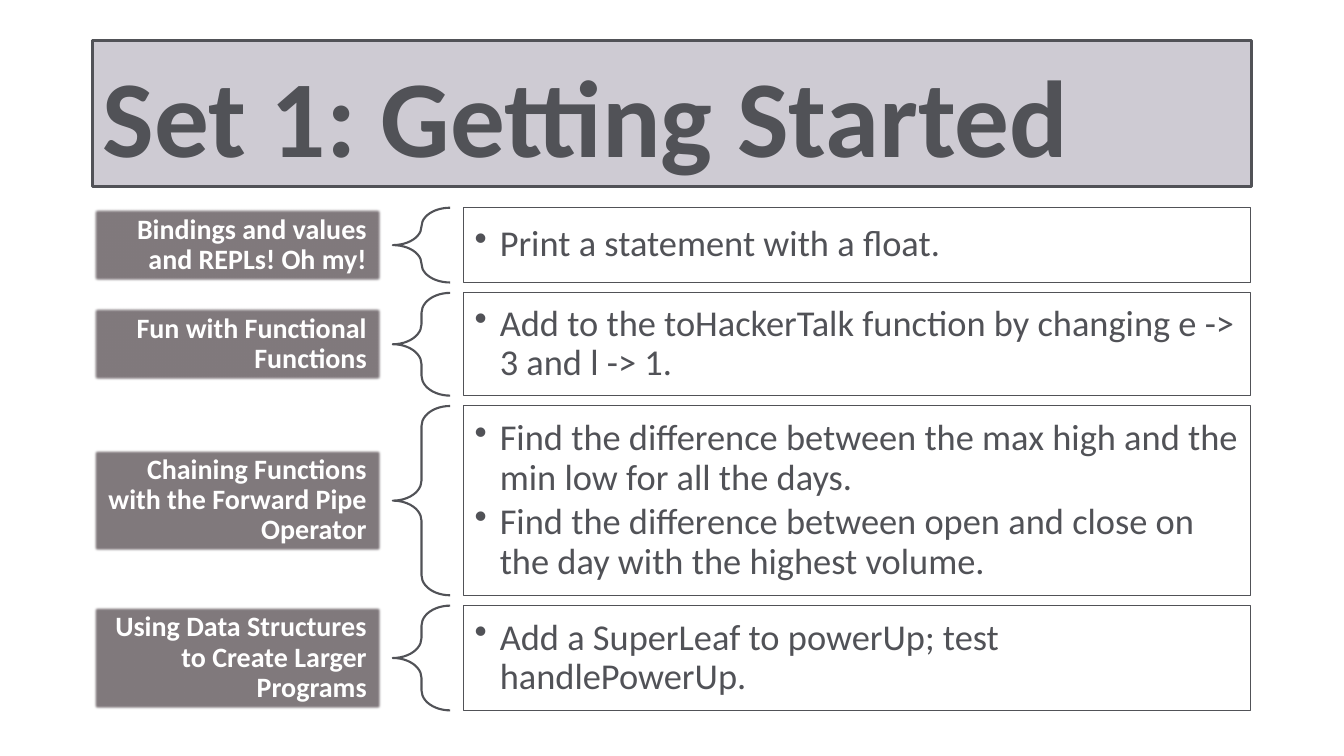
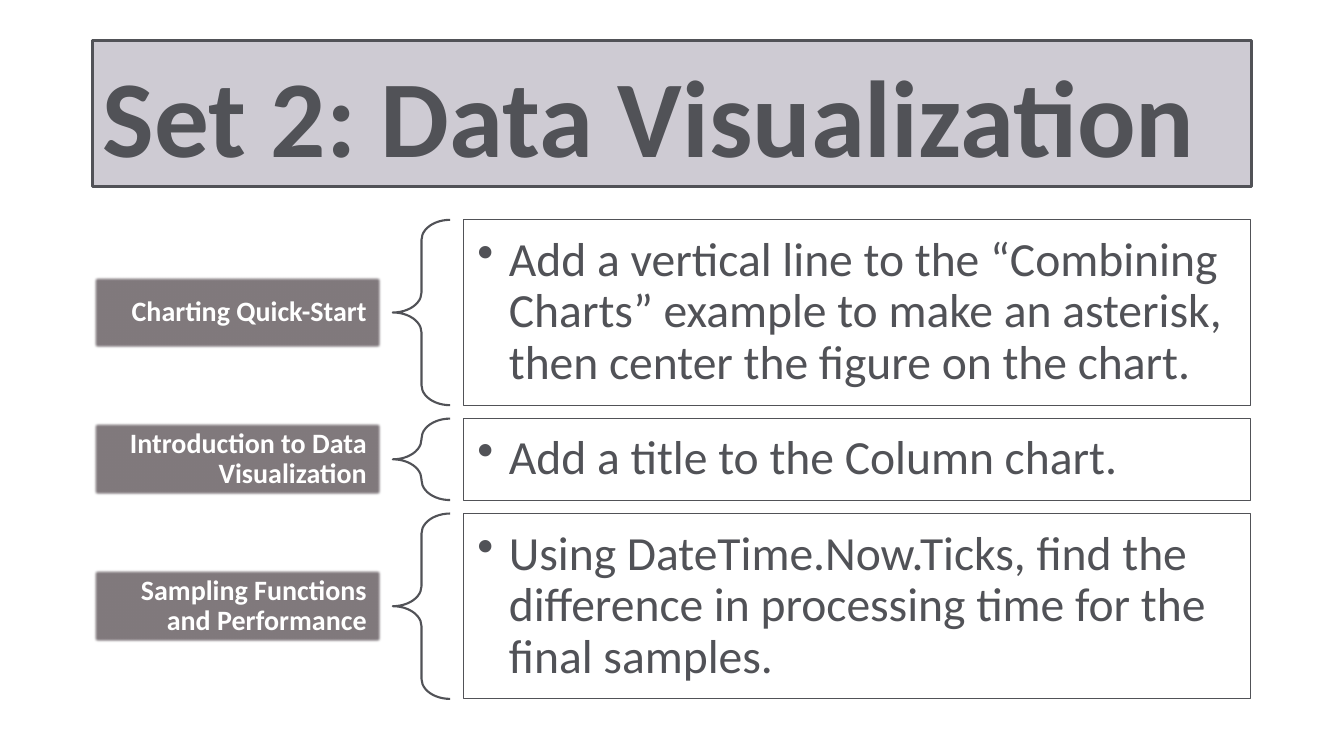
from dataclasses import dataclass

import lxml.etree
import pptx
import pptx.dml.color
import pptx.enum.shapes
import pptx.enum.text
import pptx.oxml
import pptx.oxml.ns
import pptx.util

Pt = pptx.util.Pt
qn = pptx.oxml.ns.qn
Shape = pptx.enum.shapes.MSO_SHAPE
Align = pptx.enum.text.PP_ALIGN


@dataclass(frozen=True)
class Theme:
    font: str = "Calibri"
    ink: str = "515257"
    band: str = "B5B0BC"
    label: str = "7B7477"
    paper: str = "FFFFFF"
    title_size: float = 78
    label_size: float = 20
    left: float = 66.2
    label_width: float = 207
    brace_left: float = 280.6
    brace_width: float = 41
    task_left: float = 331
    task_width: float = 562.6


@dataclass(frozen=True)
class Topic:
    label: str
    label_height: float
    height: float
    tasks: tuple


@dataclass(frozen=True)
class ProblemSet:
    title: str
    top: float
    gap: float
    task_size: float
    inset: float
    indent: float
    topics: tuple


THEME = Theme()
SHORT, TALL = 53.4, 74.8

SETS = (
    ProblemSet("Set 1: Getting Started", 148.4, 7.4, 26, 8, 18, (
        Topic("Bindings and values and REPLs! Oh my!", SHORT, 53.4,
              ("Print a statement with a float.",)),
        Topic("Fun with Functional Functions", SHORT, 73.4,
              ("Add to the toHackerTalk function by changing e -> 3 and l -> 1.",)),
        Topic("Chaining Functions with the Forward Pipe Operator", TALL, 135.2,
              ("Find the difference between the max high and the min low for all the days.",
               "Find the difference between open and close on the day with the highest volume.")),
        Topic("Using Data Structures to Create Larger Programs", TALL, 74.8,
              ("Add a SuperLeaf to powerUp; test handlePowerUp.",)),
    )),
    ProblemSet("Set 2: Data Visualization", 157, 9.6, 34, 10, 22.5, (
        Topic("Charting Quick-Start", SHORT, 132.4,
              ("Add a vertical line to the “Combining Charts” example to make an asterisk, "
               "then center the figure on the chart.",)),
        Topic("Introduction to Data Visualization", SHORT, 58.2,
              ("Add a title to the Column chart.",)),
        Topic("Sampling Functions and Performance", SHORT, 132.4,
              ("Using DateTime.Now.Ticks, find the difference in processing time "
               "for the final samples.",)),
    )),
)


def rgb(value):
    return pptx.dml.color.RGBColor.from_string(value)


def add_panel(slide, kind, box, fill=None, opacity=100, line_width=None):
    panel = slide.shapes.add_shape(kind, *(Pt(length) for length in box))
    panel.shadow.inherit = False
    if fill:
        panel.fill.solid()
        panel.fill.fore_color.rgb = rgb(fill)
        color = panel.fill._xPr.find(".//" + qn("a:srgbClr"))
        lxml.etree.SubElement(color, qn("a:alpha"), val=str(opacity * 1000))
    else:
        panel.fill.background()
    if line_width:
        panel.line.color.rgb = rgb(THEME.ink)
        panel.line.width = Pt(line_width)
    else:
        panel.line.fill.background()
    return panel


def soften_edges(panel, radius):
    effects = panel._element.spPr.find(qn("a:effectLst"))
    lxml.etree.SubElement(effects, qn("a:softEdge"), rad=str(int(Pt(radius))))


def add_bullet(paragraph, indent):
    properties = paragraph._p.get_or_add_pPr()
    properties.set("marL", str(int(Pt(indent))))
    properties.set("indent", str(-int(Pt(indent))))
    lxml.etree.SubElement(properties, qn("a:buChar"), char="•")


def write(panel, lines, size, color, insets, align=Align.LEFT, bold=False,
          spacing=0.9, indent=0):
    frame = panel.text_frame
    frame.word_wrap = True
    frame.vertical_anchor = pptx.enum.text.MSO_ANCHOR.MIDDLE
    frame.margin_left = frame.margin_right = Pt(insets[0])
    frame.margin_top = frame.margin_bottom = Pt(insets[1])
    frame.text = "\n".join(lines)
    for paragraph in frame.paragraphs:
        if indent:
            add_bullet(paragraph, indent)
        paragraph.alignment = align
        paragraph.line_spacing = spacing
        paragraph.space_after = Pt(size * 0.15)
        for run in paragraph.runs:
            run.font.name = THEME.font
            run.font.size = Pt(size)
            run.font.bold = bold
            run.font.color.rgb = rgb(color)


def add_title(slide, title):
    band = add_panel(slide, Shape.RECTANGLE, (THEME.left, 28.8, 828, 104.4),
                     THEME.band, 65, 2.25)
    write(band, [title], THEME.title_size, THEME.ink, (7.2, 3.6), bold=True, spacing=1.0)


def add_topic(slide, topic, top, problem_set):
    label_top = top + (topic.height - topic.label_height) / 2
    label = add_panel(slide, Shape.RECTANGLE,
                      (THEME.left, label_top, THEME.label_width, topic.label_height),
                      THEME.label, 95)
    soften_edges(label, 2)
    write(label, [topic.label], THEME.label_size, THEME.paper, (11.2, 4),
          Align.RIGHT, bold=True)

    brace = add_panel(slide, Shape.LEFT_BRACE,
                      (THEME.brace_left, top, THEME.brace_width, topic.height),
                      line_width=1.5)
    brace.adjustments[0] = 0.35

    tasks = add_panel(slide, Shape.RECTANGLE,
                      (THEME.task_left, top, THEME.task_width, topic.height),
                      THEME.paper, 75, 0.75)
    write(tasks, topic.tasks, problem_set.task_size, THEME.ink,
          (problem_set.inset, problem_set.inset), indent=problem_set.indent)


def add_problem_set(deck, problem_set):
    slide = deck.slides.add_slide(deck.slide_layouts[6])
    add_title(slide, problem_set.title)
    top = problem_set.top
    for topic in problem_set.topics:
        add_topic(slide, topic, top, problem_set)
        top += topic.height + problem_set.gap


def main():
    deck = pptx.Presentation()
    deck.slide_width, deck.slide_height = Pt(960), Pt(540)
    for problem_set in SETS:
        add_problem_set(deck, problem_set)
    deck.save("out.pptx")


if __name__ == "__main__":
    main()
